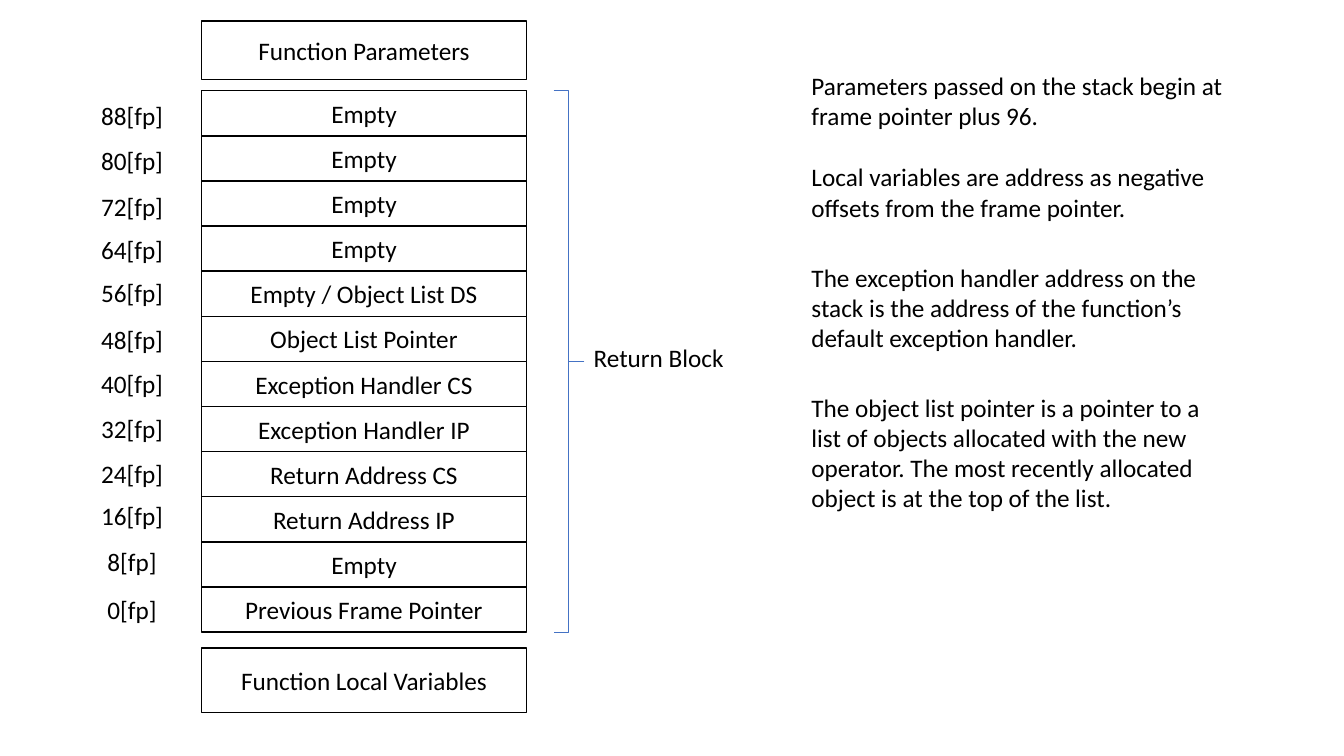
from pptx import Presentation
from pptx.dml.color import RGBColor
from pptx.enum.shapes import MSO_SHAPE as Preset
from pptx.enum.text import MSO_ANCHOR as Anchor, PP_ALIGN as Align
from pptx.util import Inches, Pt

COLORS = {"text": "000000", "box": "FFFFFF", "outline": "000000", "brace": "4472C4"}


class StackSlide:
    """Holds the style and the slide being filled."""

    def __init__(self, presentation, font="Calibri", size=18):
        self.slide = presentation.slides.add_slide(presentation.slide_layouts[6])
        self.font, self.size = font, size

    def color(self, name):
        return RGBColor.from_string(COLORS[name])

    def fill_text(self, frame, paragraphs, align, gap=0):
        frame.text = "\n".join(paragraphs)
        for index, paragraph in enumerate(frame.paragraphs):
            paragraph.alignment = align
            paragraph.space_before = Pt(gap if index else 0)
            for run in paragraph.runs:
                run.font.name, run.font.size = self.font, Pt(self.size)
                run.font.color.rgb = self.color("text")

    def preset(self, kind, left, top, width, height, line, weight):
        shape = self.slide.shapes.add_shape(
            kind, Inches(left), Inches(top), Inches(width), Inches(height))
        shape.shadow.inherit = False
        shape.line.color.rgb = self.color(line)
        shape.line.width = Pt(weight)
        return shape

    def box(self, text, left, top, width, height):
        shape = self.preset(Preset.RECTANGLE, left, top, width, height, "outline", 1)
        shape.fill.solid()
        shape.fill.fore_color.rgb = self.color("box")
        shape.text_frame.vertical_anchor = Anchor.MIDDLE
        self.fill_text(shape.text_frame, [text], Align.CENTER)

    def brace(self, left, top, width, height):
        shape = self.preset(Preset.RIGHT_BRACE, left, top, width, height, "brace", 0.5)
        shape.fill.background()
        shape.adjustments[0], shape.adjustments[1] = 0, 0.5

    def text(self, paragraphs, left, top, width, height,
             align=Align.LEFT, wrap=True, gap=0):
        shape = self.slide.shapes.add_textbox(
            Inches(left), Inches(top), Inches(width), Inches(height))
        shape.text_frame.word_wrap = wrap
        self.fill_text(shape.text_frame, paragraphs, align, gap)


presentation = Presentation()
presentation.slide_width, presentation.slide_height = Inches(13.33), Inches(7.5)
page = StackSlide(presentation)

# Stack frame: (content, top of its offset label), highest address first
STACK_LEFT, STACK_TOP, STACK_WIDTH, STACK_HEIGHT = 2, 0.9, 3.22, 5.37
SLOTS = [
    ("Empty", 0.95), ("Empty", 1.39), ("Empty", 1.85), ("Empty", 2.28),
    ("Empty / Object List DS", 2.7), ("Object List Pointer", 3.17),
    ("Exception Handler CS", 3.61), ("Exception Handler IP", 4.05),
    ("Return Address CS", 4.5), ("Return Address IP", 4.91),
    ("Empty", 5.37), ("Previous Frame Pointer", 5.85),
]
WORD_BYTES = 8
slot_height = STACK_HEIGHT / len(SLOTS)

page.box("Function Parameters", STACK_LEFT, 0.21, STACK_WIDTH, 0.58)
for index, (content, label_top) in enumerate(SLOTS):
    page.box(content, STACK_LEFT, STACK_TOP + index * slot_height,
             STACK_WIDTH, slot_height)
    offset = WORD_BYTES * (len(SLOTS) - 1 - index)
    page.text([f"{offset}[fp]"], 0.9, label_top, 0.82, 0.4, Align.CENTER, wrap=False)
page.box("Function Local Variables", STACK_LEFT, 6.43, STACK_WIDTH, 0.64)

# Return block bracket
page.brace(5.49, STACK_TOP, 0.3, STACK_HEIGHT)
page.text(["Return Block"], 5.79, 3.35, 1.5, 0.4, wrap=False)

# Notes on the right
NOTES_LEFT = 7.95
page.text(["Parameters passed on the stack begin at frame pointer plus 96.",
           "Local variables are address as negative offsets from the frame pointer."],
          NOTES_LEFT, 0.65, 4.41, 1.62, gap=22)
page.text(["The exception handler address on the stack is the address of the "
           "function’s default exception handler."], NOTES_LEFT, 2.55, 4.31, 1.01)
page.text(["The object list pointer is a pointer to a list of objects allocated with "
           "the new operator. The most recently allocated object is at the top of "
           "the list."], NOTES_LEFT, 3.84, 4.23, 1.31)

presentation.save("out.pptx")
